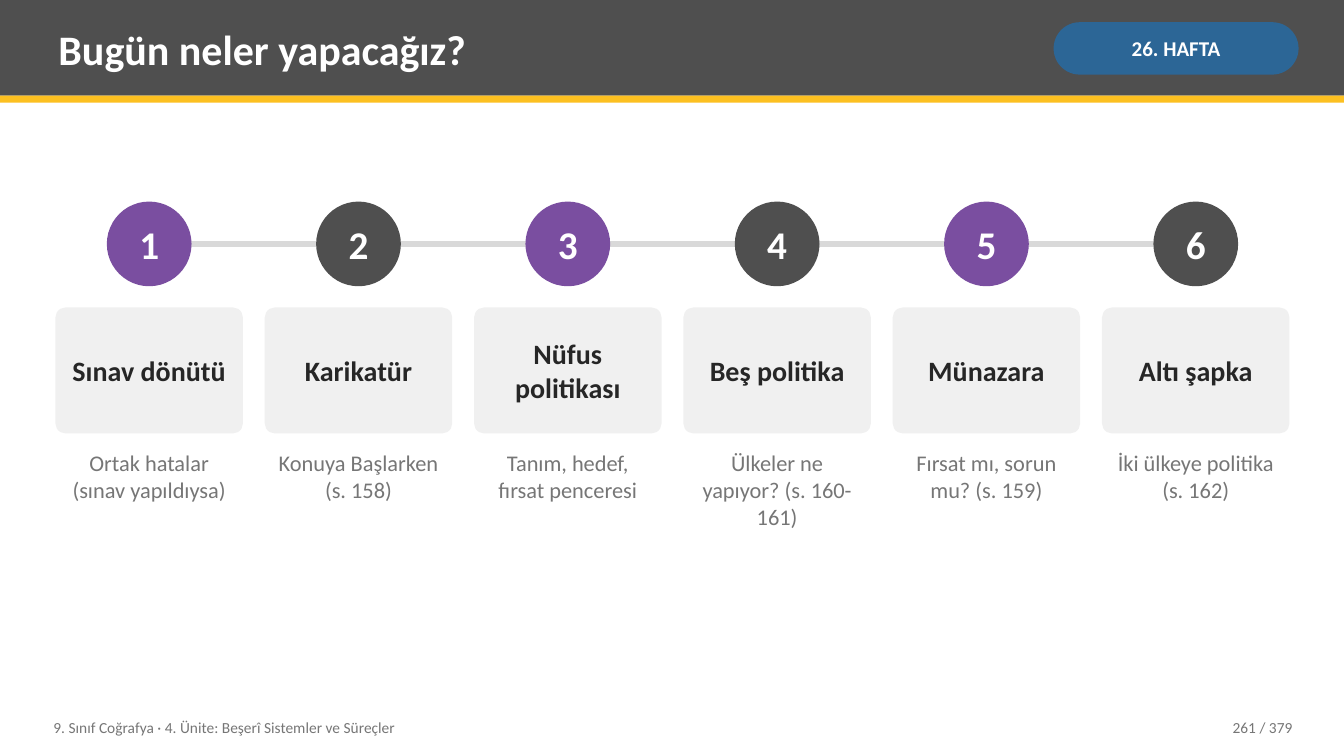
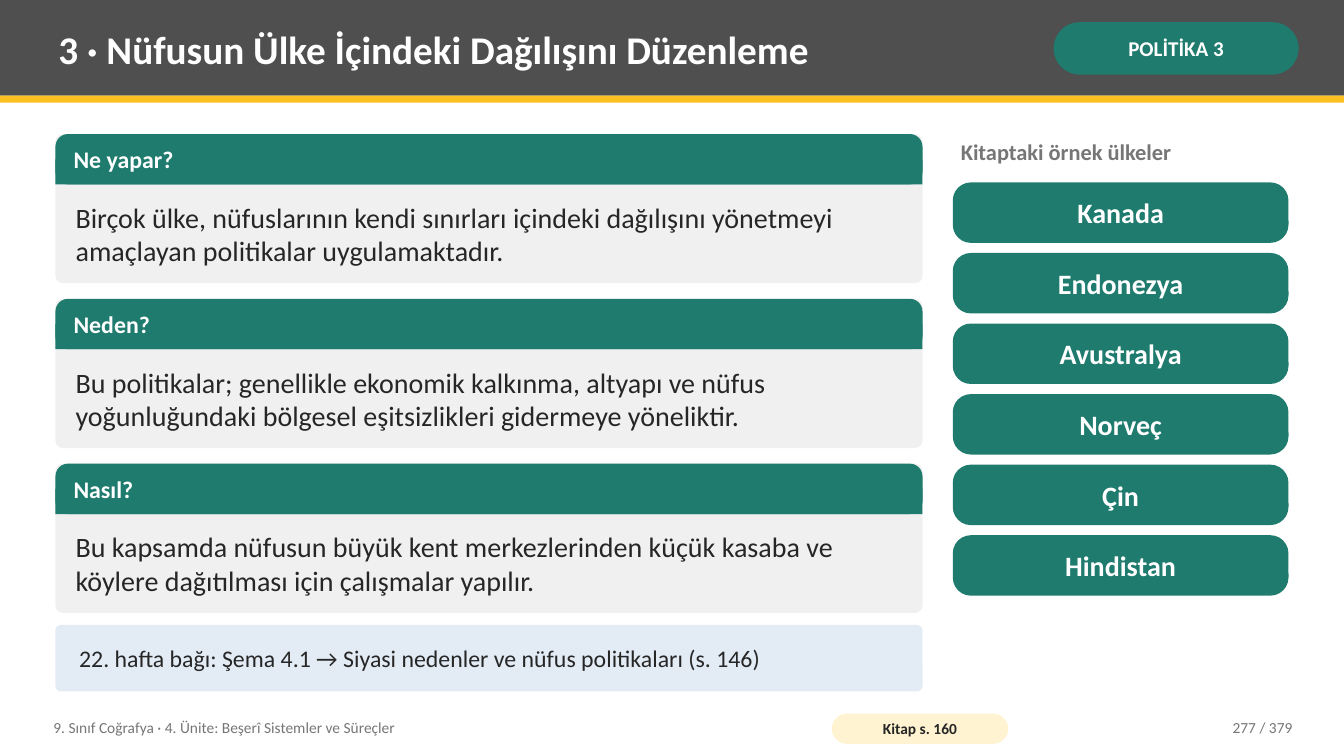
from dataclasses import dataclass
from typing import NamedTuple

from pptx import Presentation
from pptx.dml.color import RGBColor
from pptx.enum.shapes import MSO_CONNECTOR, MSO_SHAPE as Preset
from pptx.enum.text import MSO_ANCHOR as Anchor, MSO_AUTO_SIZE, PP_ALIGN as Align
from pptx.oxml.ns import qn
from pptx.util import Inches, Pt


@dataclass(frozen=True)
class Theme:
    font: str = "Calibri"
    white: str = "FFFFFF"
    ink: str = "262626"
    muted: str = "767676"
    band: str = "4F4F4F"
    accent: str = "FCC021"
    rail: str = "D9D9D9"
    card: str = "F0F0F0"
    note: str = "E3ECF5"
    page_tag: str = "FFF3D1"
    blue: str = "2C6696"
    purple: str = "7A4EA0"
    green: str = "1E7B6E"
    title: int = 30
    long_title: int = 28
    number: int = 28
    body: int = 20
    heading: int = 17
    caption: int = 16
    tag: int = 15
    footer: int = 11


class Box(NamedTuple):
    left: float
    top: float
    width: float
    height: float


class Style(NamedTuple):
    size: int
    color: str
    bold: bool = False
    align: Align = Align.LEFT
    anchor: Anchor = Anchor.MIDDLE
    inset_x: float = 0.08
    inset_y: float = 0.04


THEME = Theme()
PAGE = Box(0, 0, 13.33, 7.5)
COURSE = "9. Sınıf Coğrafya · 4. Ünite: Beşerî Sistemler ve Süreçler"
PAGE_TOTAL = 379


def write(shape, text, style, wrap=True):
    frame = shape.text_frame
    frame.auto_size = MSO_AUTO_SIZE.NONE
    frame.word_wrap = wrap
    frame.vertical_anchor = style.anchor
    frame.margin_left = frame.margin_right = Inches(style.inset_x)
    frame.margin_top = frame.margin_bottom = Inches(style.inset_y)
    para = frame.paragraphs[0]
    para.alignment = style.align
    span = para.add_run()
    span.text = text
    span.font.name = THEME.font
    span.font.size = Pt(style.size)
    span.font.bold = style.bold
    span.font.color.rgb = RGBColor.from_string(style.color)


def add_text(page, box, text, style):
    write(page.shapes.add_textbox(*map(Inches, box)), text, style)


def add_block(page, preset, box, fill, rounding=None):
    shape = page.shapes.add_shape(preset, *map(Inches, box))
    shape.shadow.inherit = False
    shape.fill.solid()
    shape.fill.fore_color.rgb = RGBColor.from_string(fill)
    shape.line.fill.background()
    if rounding is not None:
        shape.adjustments[0] = rounding
    return shape


def add_label(page, box, fill, rounding, text, style):
    """Rounded block that carries its own text."""
    write(add_block(page, Preset.ROUNDED_RECTANGLE, box, fill, rounding), text, style)


def add_header(page, box, title, title_size, tag, tag_fill):
    accent_height = 0.07
    add_block(page, Preset.RECTANGLE, box, THEME.band)
    add_block(page, Preset.RECTANGLE,
              Box(box.left, box.top + box.height, box.width, accent_height), THEME.accent)
    heading = page.shapes.title
    heading.left, heading.top = Inches(box.left + 0.5), Inches(box.top + 0.07)
    heading.width, heading.height = Inches(9.75), Inches(0.82)
    write(heading, title, Style(title_size, THEME.white, bold=True))
    page.shapes._spTree.append(heading._element)  # bring the title in front of the band
    add_label(page, Box(box.left + 10.45, box.top + 0.22, 2.43, 0.52), tag_fill, 0.5, tag,
              Style(THEME.tag, THEME.white, True, Align.CENTER, inset_x=0.05, inset_y=0.02))


def add_footer(page, box, page_number, book_page=None):
    add_text(page, Box(box.left, box.top, 7.6, box.height), COURSE,
             Style(THEME.footer, THEME.muted))
    if book_page:
        add_label(page, Box(box.left + 7.8, box.top + 0.04, 1.75, 0.3),
                  THEME.page_tag, 0.5, book_page,
                  Style(THEME.footer, THEME.ink, True, Align.CENTER, inset_x=0.04, inset_y=0))
    number_width = 1.6
    add_text(page, Box(box.left + box.width - number_width, box.top, number_width, box.height),
             f"{page_number} / {PAGE_TOTAL}",
             Style(THEME.footer, THEME.muted, align=Align.RIGHT))


def add_page(deck, title, title_size, tag, tag_fill, page_number, book_page=None):
    page = deck.slides.add_slide(deck.slide_layouts.get_by_name("Title Only"))
    add_header(page, Box(0, 0, PAGE.width, 0.95), title, title_size, tag, tag_fill)
    add_footer(page, Box(0.45, 7.04, 12.45, 0.36), page_number, book_page)
    return page


def add_rail(page, start, end, height):
    rail = page.shapes.add_connector(
        MSO_CONNECTOR.STRAIGHT, Inches(start), Inches(height), Inches(end), Inches(height))
    rail.line.color.rgb = RGBColor.from_string(THEME.rail)
    rail.line.width = Pt(4)
    properties = rail._element.spPr
    properties.append(properties.makeelement(qn("a:effectLst"), {}))


def add_steps(page, box, steps):
    """Numbered circles on a rail, each over a card and a caption."""
    card_width, circle = 1.86, 0.84
    pitch = (box.width - card_width) / (len(steps) - 1)
    half = card_width / 2
    add_rail(page, box.left + half, box.left + box.width - half, box.top + circle / 2)
    for index, (name, caption) in enumerate(steps):
        left = box.left + index * pitch
        marker = add_block(page, Preset.OVAL,
                           Box(left + half - circle / 2, box.top, circle, circle),
                           THEME.band if index % 2 else THEME.purple)
        write(marker, str(index + 1),
              Style(THEME.number, THEME.white, True, Align.CENTER, inset_x=0, inset_y=0),
              wrap=False)
        add_label(page, Box(left, box.top + 1.05, card_width, 1.25), THEME.card, 0.08, name,
                  Style(THEME.body, THEME.ink, True, Align.CENTER, inset_y=0.08))
        add_text(page, Box(left, box.top + 2.42, card_width, box.height - 2.42), caption,
                 Style(THEME.caption, THEME.muted, align=Align.CENTER, anchor=Anchor.TOP))


def add_panel(page, box, heading, body):
    """Card with a coloured heading strip, rounded at the top only."""
    strip = 0.5
    add_block(page, Preset.ROUNDED_RECTANGLE, box, THEME.card, 0.05)
    add_block(page, Preset.ROUNDED_RECTANGLE, box._replace(height=strip), THEME.green, 0.25)
    add_block(page, Preset.RECTANGLE,
              Box(box.left, box.top + strip / 2, box.width, strip / 2), THEME.green)
    add_text(page, Box(box.left + 0.1, box.top, box.width - 0.2, strip), heading,
             Style(THEME.heading, THEME.white, bold=True))
    add_text(page, Box(box.left + 0.12, box.top + strip + 0.08,
                       box.width - 0.24, box.height - strip - 0.16), body,
             Style(THEME.body, THEME.ink))


def add_panels(page, box, panels):
    height = 1.48
    pitch = (box.height - height) / (len(panels) - 1)
    for index, (heading, body) in enumerate(panels):
        add_panel(page, Box(box.left, box.top + index * pitch, box.width, height), heading, body)


def add_countries(page, box, heading, countries):
    add_text(page, box._replace(height=0.42), heading,
             Style(THEME.caption, THEME.muted, bold=True, anchor=Anchor.TOP))
    height, gap = 0.6, 0.1
    for index, country in enumerate(countries):
        top = box.top + 0.48 + index * (height + gap)
        add_label(page, Box(box.left, top, box.width, height), THEME.green, 0.3, country,
                  Style(THEME.body, THEME.white, True, Align.CENTER,
                        inset_x=0.06, inset_y=0.02))


def build_agenda(deck):
    page = add_page(deck, "Bugün neler yapacağız?", THEME.title, "26. HAFTA", THEME.blue, 261)
    add_steps(page, Box(0.55, 2, 12.24, 4.32), [
        ("Sınav dönütü", "Ortak hatalar (sınav yapıldıysa)"),
        ("Karikatür", "Konuya Başlarken (s. 158)"),
        ("Nüfus politikası", "Tanım, hedef, fırsat penceresi"),
        ("Beş politika", "Ülkeler ne yapıyor? (s. 160-161)"),
        ("Münazara", "Fırsat mı, sorun mu? (s. 159)"),
        ("Altı şapka", "İki ülkeye politika (s. 162)"),
    ])


def build_policy(deck):
    page = add_page(deck, "3 · Nüfusun Ülke İçindeki Dağılışını Düzenleme", THEME.long_title,
                    "POLİTİKA 3", THEME.green, 277, "Kitap s. 160")
    add_panels(page, Box(0.55, 1.33, 8.6, 4.75), [
        ("Ne yapar?", "Birçok ülke, nüfuslarının kendi sınırları içindeki dağılışını "
                      "yönetmeyi amaçlayan politikalar uygulamaktadır."),
        ("Neden?", "Bu politikalar; genellikle ekonomik kalkınma, altyapı ve nüfus "
                   "yoğunluğundaki bölgesel eşitsizlikleri gidermeye yöneliktir."),
        ("Nasıl?", "Bu kapsamda nüfusun büyük kent merkezlerinden küçük kasaba ve "
                   "köylere dağıtılması için çalışmalar yapılır."),
    ])
    add_label(page, Box(0.55, 6.2, 8.6, 0.66), THEME.note, 0.08,
              "22. hafta bağı: Şema 4.1 → Siyasi nedenler ve nüfus politikaları (s. 146)",
              Style(THEME.heading, THEME.ink, inset_x=0.22, inset_y=0.08))
    add_countries(page, Box(9.45, 1.33, 3.33, 4.58), "Kitaptaki örnek ülkeler",
                  ["Kanada", "Endonezya", "Avustralya", "Norveç", "Çin", "Hindistan"])


def main():
    deck = Presentation()
    deck.slide_width, deck.slide_height = Inches(PAGE.width), Inches(PAGE.height)
    build_agenda(deck)
    build_policy(deck)
    deck.save("out.pptx")


if __name__ == "__main__":
    main()
